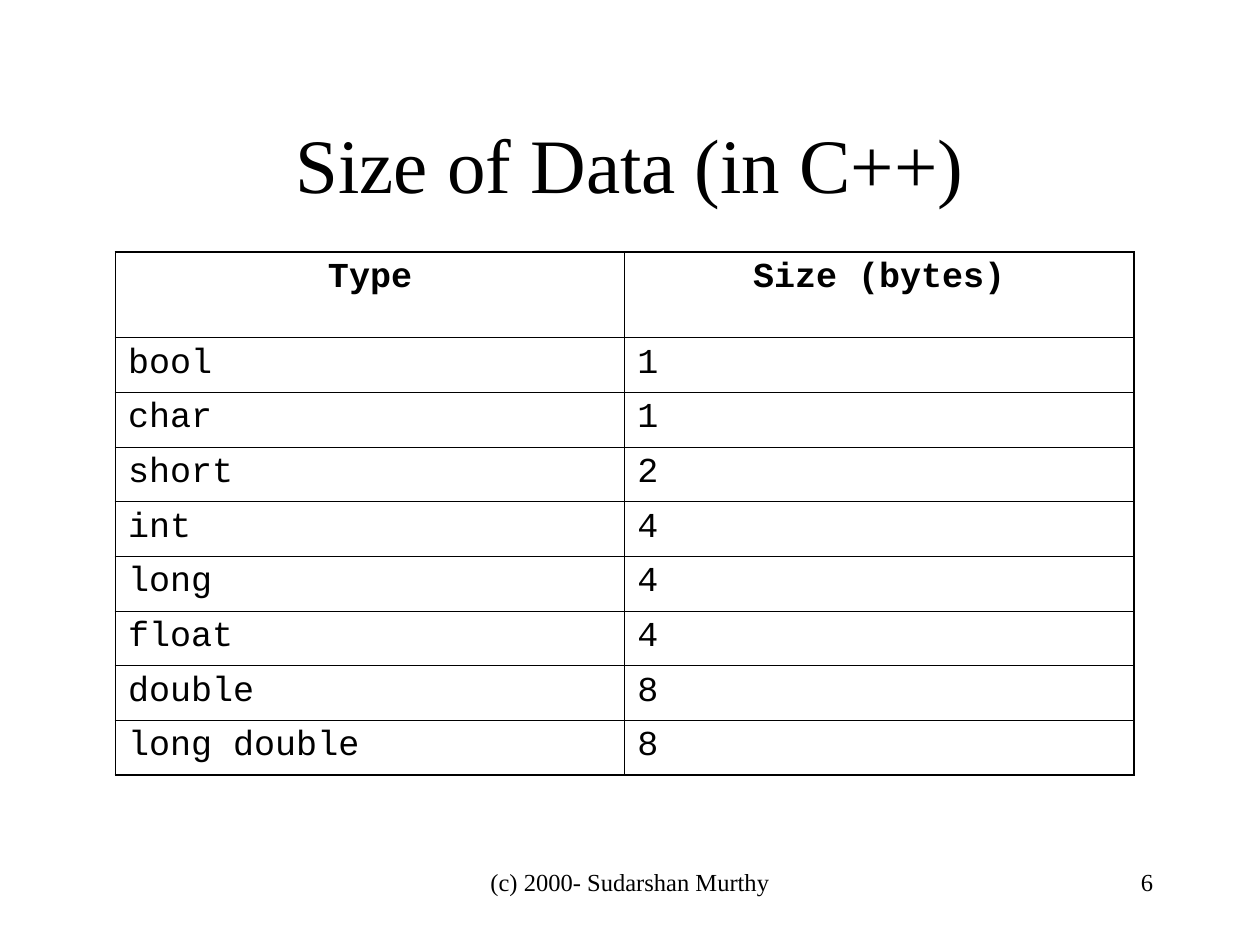
from lxml import etree
from pptx import Presentation
from pptx.dml.color import RGBColor
from pptx.enum.text import MSO_ANCHOR, PP_ALIGN
from pptx.oxml.ns import qn
from pptx.util import Pt

LEFT, CENTER, RIGHT = PP_ALIGN.LEFT, PP_ALIGN.CENTER, PP_ALIGN.RIGHT
TOP, MIDDLE = MSO_ANCHOR.TOP, MSO_ANCHOR.MIDDLE
BLACK = RGBColor(0x00, 0x00, 0x00)
SERIF = "Times New Roman"
MONO = "Courier New"
BLANK_LAYOUT = 6
OUTER_LINE, INNER_LINE = 1.08, 0.45

DATA_SIZES = [
    ("Type", "Size (bytes)"),
    ("bool", "1"),
    ("char", "1"),
    ("short", "2"),
    ("int", "4"),
    ("long", "4"),
    ("float", "4"),
    ("double", "8"),
    ("long double", "8"),
]


class SlideBuilder:
    """Holds the text colour and the slide being filled; lengths are in points."""

    def __init__(self, slide, color=BLACK):
        self.slide = slide
        self.color = color

    def add_run(self, text_frame, text, font, size, align, bold=False):
        paragraph = text_frame.paragraphs[0]
        paragraph.alignment = align
        run = paragraph.add_run()
        run.text = text
        run.font.name = font
        run.font.size = Pt(size)
        run.font.bold = bold
        run.font.color.rgb = self.color

    def add_text(self, left, top, width, height, text, size, align, anchor=TOP):
        box = self.slide.shapes.add_textbox(Pt(left), Pt(top), Pt(width), Pt(height))
        box.text_frame.word_wrap = True
        box.text_frame.vertical_anchor = anchor
        self.add_run(box.text_frame, text, SERIF, size, align)

    def add_border(self, cell, side, width):
        properties = cell._tc.get_or_add_tcPr()
        line = etree.SubElement(properties, qn(f"a:ln{side}"), w=str(Pt(width)))
        fill = etree.SubElement(line, qn("a:solidFill"))
        etree.SubElement(fill, qn("a:srgbClr"), val=str(self.color))

    def add_table(self, left, top, column_width, header_height, row_height, rows):
        row_count, column_count = len(rows), len(rows[0])
        width = column_width * column_count
        height = header_height + row_height * (row_count - 1)
        table = self.slide.shapes.add_table(
            row_count, column_count, Pt(left), Pt(top), Pt(width), Pt(height)
        ).table
        table.first_row = False
        table.horz_banding = False
        for column in table.columns:
            column.width = Pt(column_width)
        for r, values in enumerate(rows):
            is_header = r == 0
            table.rows[r].height = Pt(header_height if is_header else row_height)
            for c, value in enumerate(values):
                cell = table.cell(r, c)
                on_edge = {
                    "L": c == 0,
                    "R": c == column_count - 1,
                    "T": is_header,
                    "B": r == row_count - 1,
                }
                for side, outer in on_edge.items():
                    self.add_border(cell, side, OUTER_LINE if outer else INNER_LINE)
                cell.fill.background()
                align = CENTER if is_header else LEFT
                self.add_run(cell.text_frame, value, MONO, 20, align, is_header)


def main():
    presentation = Presentation()
    presentation.slide_width = Pt(720)
    presentation.slide_height = Pt(540)
    layout = presentation.slide_layouts[BLANK_LAYOUT]
    builder = SlideBuilder(presentation.slides.add_slide(layout))

    builder.add_text(54, 48, 612, 90, "Size of Data (in C++)", 44, CENTER, MIDDLE)
    builder.add_table(66, 144, 291, 48.9, 31.14, DATA_SIZES)
    builder.add_text(246, 492, 228, 36, "(c) 2000- Sudarshan Murthy", 14, CENTER)
    builder.add_text(516, 492, 150, 36, "6", 14, RIGHT)

    presentation.save("out.pptx")


if __name__ == "__main__":
    main()
